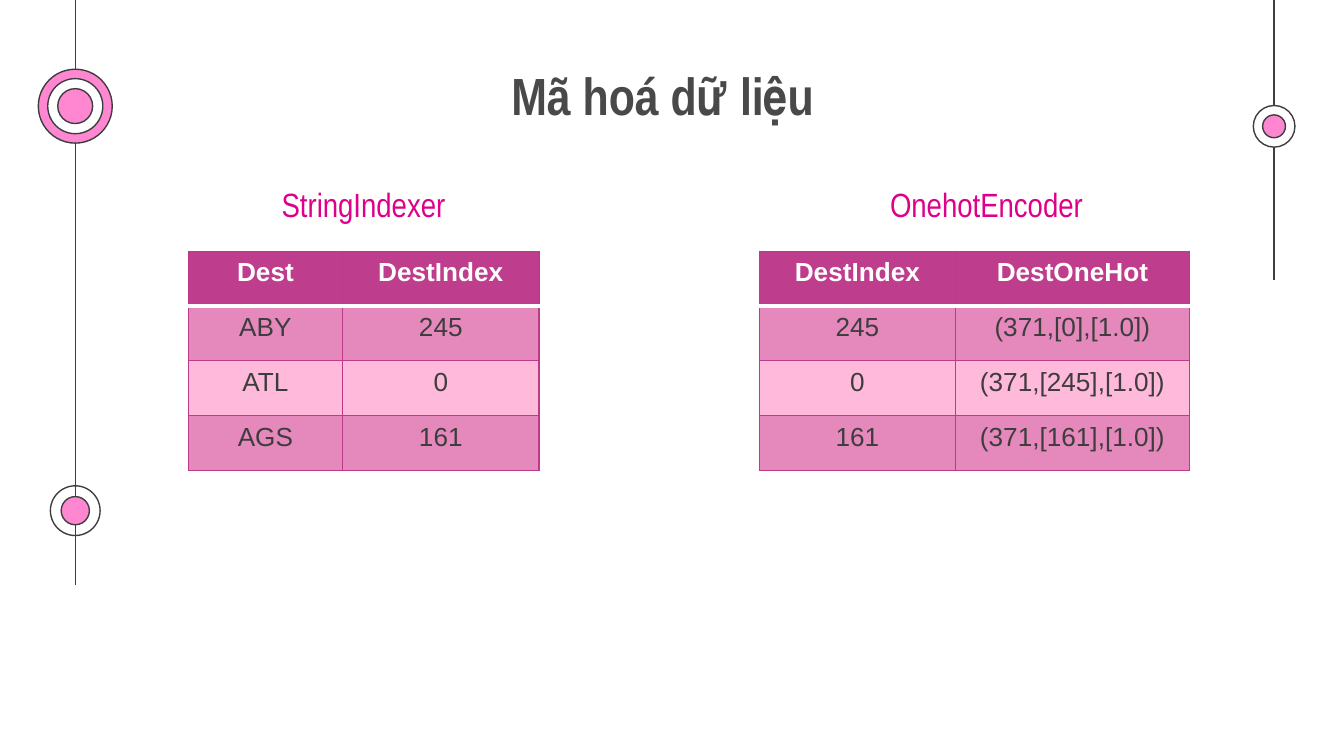
from dataclasses import dataclass

import pptx
import pptx.dml.color
import pptx.enum.shapes
import pptx.enum.text
import pptx.oxml
import pptx.oxml.ns
import pptx.util
from pptx.util import Inches

COLORS = {
    "ink": "3D3D3D",
    "title": "494949",
    "heading": "DE008A",
    "pink": "FF87D1",
    "white": "FFFFFF",
    "header": "BE3E8D",
    "border": "BD3A8B",
    "dark_row": "E588BC",
    "light_row": "FFB9DB",
}
SLIDE_WIDTH = 10
SLIDE_HEIGHT = SLIDE_WIDTH * 9 / 16
LINE_WIDTH = 0.75
TABLE_TOP = 1.87
TABLE_HEIGHT = 1.63


@dataclass
class Rail:
    x: float
    bottom: float


@dataclass
class Ring:
    x: float
    y: float
    diameter: float
    fill: str | None


@dataclass
class Encoding:
    heading: str
    heading_left: float
    heading_width: float
    left: float
    columns: list[float]
    rows: list[tuple[str, str]]


LEFT_RAIL = Rail(0.56, 4.35)
RIGHT_RAIL = Rail(9.48, 2.08)
RINGS = [
    Ring(LEFT_RAIL.x, 3.8, 0.37, None),
    Ring(LEFT_RAIL.x, 3.8, 0.21, "pink"),
    Ring(RIGHT_RAIL.x, 0.94, 0.31, "white"),
    Ring(RIGHT_RAIL.x, 0.94, 0.17, "pink"),
    Ring(LEFT_RAIL.x, 0.79, 0.55, "pink"),
    Ring(LEFT_RAIL.x, 0.79, 0.41, "white"),
    Ring(LEFT_RAIL.x, 0.79, 0.26, "pink"),
]
ENCODINGS = [
    Encoding("StringIndexer", 1.74, 1.93, 1.4, [1.15, 1.46],
             [("Dest", "DestIndex"), ("ABY", "245"), ("ATL", "0"), ("AGS", "161")]),
    Encoding("OnehotEncoder", 6.33, 2.02, 5.65, [1.46, 1.74],
             [("DestIndex", "DestOneHot"), ("245", "(371,[0],[1.0])"),
              ("0", "(371,[245],[1.0])"), ("161", "(371,[161],[1.0])")]),
]


def rgb(color: str) -> pptx.dml.color.RGBColor:
    return pptx.dml.color.RGBColor.from_string(COLORS[color])


def write_text(frame, text: str, *, size: float, font: str, color: str, bold: bool = False) -> None:
    paragraph = frame.paragraphs[0]
    paragraph.alignment = pptx.enum.text.PP_ALIGN.CENTER
    run = paragraph.add_run()
    run.text = text
    run.font.size = pptx.util.Pt(size)
    run.font.name = font
    run.font.bold = bold
    run.font.color.rgb = rgb(color)


def add_label(slide, text: str, left: float, top: float, width: float, height: float, **style) -> None:
    label = slide.shapes.add_textbox(Inches(left), Inches(top), Inches(width), Inches(height))
    frame = label.text_frame
    frame.word_wrap = True
    frame.margin_left = frame.margin_right = Inches(0.1)
    frame.margin_top = frame.margin_bottom = Inches(0.1)
    write_text(frame, text, font="Arial Narrow", **style)


def draw_rail(slide, rail: Rail) -> None:
    line = slide.shapes.add_connector(
        pptx.enum.shapes.MSO_CONNECTOR.STRAIGHT,
        Inches(rail.x), Inches(0), Inches(rail.x), Inches(rail.bottom))
    line.line.color.rgb = rgb("ink")
    line.line.width = pptx.util.Pt(LINE_WIDTH)
    line._element.spPr.append(pptx.oxml.parse_xml(
        f'<a:effectLst {pptx.oxml.ns.nsdecls("a")}/>'))


def draw_ring(slide, ring: Ring) -> None:
    radius = ring.diameter / 2
    circle = slide.shapes.add_shape(
        pptx.enum.shapes.MSO_SHAPE.OVAL,
        Inches(ring.x - radius), Inches(ring.y - radius),
        Inches(ring.diameter), Inches(ring.diameter))
    circle.shadow.inherit = False
    if ring.fill:
        circle.fill.solid()
        circle.fill.fore_color.rgb = rgb(ring.fill)
    else:
        circle.fill.background()
    circle.line.color.rgb = rgb("ink")
    circle.line.width = pptx.util.Pt(LINE_WIDTH)


def set_border(cell, side: str, color: str, width: float) -> None:
    cell._tc.get_or_add_tcPr().append(pptx.oxml.parse_xml(
        f'<a:ln{side} {pptx.oxml.ns.nsdecls("a")} w="{pptx.util.Pt(width)}">'
        f'<a:solidFill><a:srgbClr val="{COLORS[color]}"/></a:solidFill></a:ln{side}>'))


def draw_encoding(slide, encoding: Encoding) -> None:
    add_label(slide, encoding.heading, encoding.heading_left, 1.27,
              encoding.heading_width, 0.36, size=18, color="heading")
    table = slide.shapes.add_table(
        len(encoding.rows), len(encoding.columns),
        Inches(encoding.left), Inches(TABLE_TOP),
        Inches(sum(encoding.columns)), Inches(TABLE_HEIGHT)).table
    for column, width in zip(table.columns, encoding.columns):
        column.width = Inches(width)
    for row_index, values in enumerate(encoding.rows):
        is_header = row_index == 0
        fill = "header" if is_header else "dark_row" if row_index % 2 else "light_row"
        for column_index, value in enumerate(values):
            cell = table.cell(row_index, column_index)
            for side in "LRTB":
                below_header = (row_index, side) in ((0, "B"), (1, "T"))
                set_border(cell, side, "white" if below_header else "border",
                           2 if below_header else LINE_WIDTH)
            cell.fill.solid()
            cell.fill.fore_color.rgb = rgb(fill)
            write_text(cell.text_frame, value, size=14, font="Arial",
                       color="white" if is_header else "ink", bold=is_header)


def main() -> None:
    presentation = pptx.Presentation()
    presentation.slide_width = Inches(SLIDE_WIDTH)
    presentation.slide_height = Inches(SLIDE_HEIGHT)
    slide = presentation.slides.add_slide(presentation.slide_layouts[6])
    for rail in (LEFT_RAIL, RIGHT_RAIL):
        draw_rail(slide, rail)
    for ring in RINGS:
        draw_ring(slide, ring)
    add_label(slide, "Mã hoá dữ liệu", 1.88, 0.37, 6.1, 0.65,
              size=28, color="title", bold=True)
    for encoding in ENCODINGS:
        draw_encoding(slide, encoding)
    presentation.save("out.pptx")


if __name__ == "__main__":
    main()
